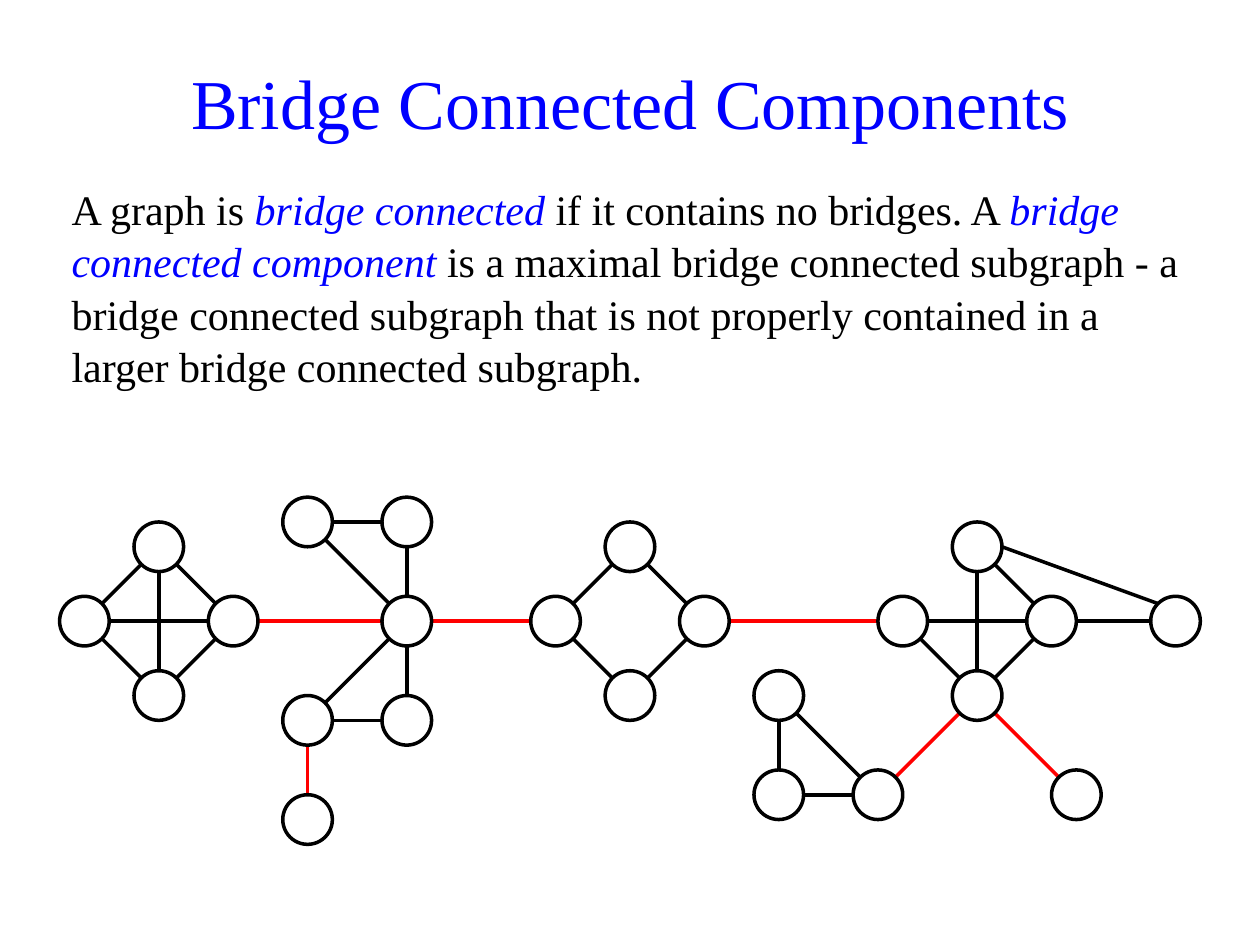
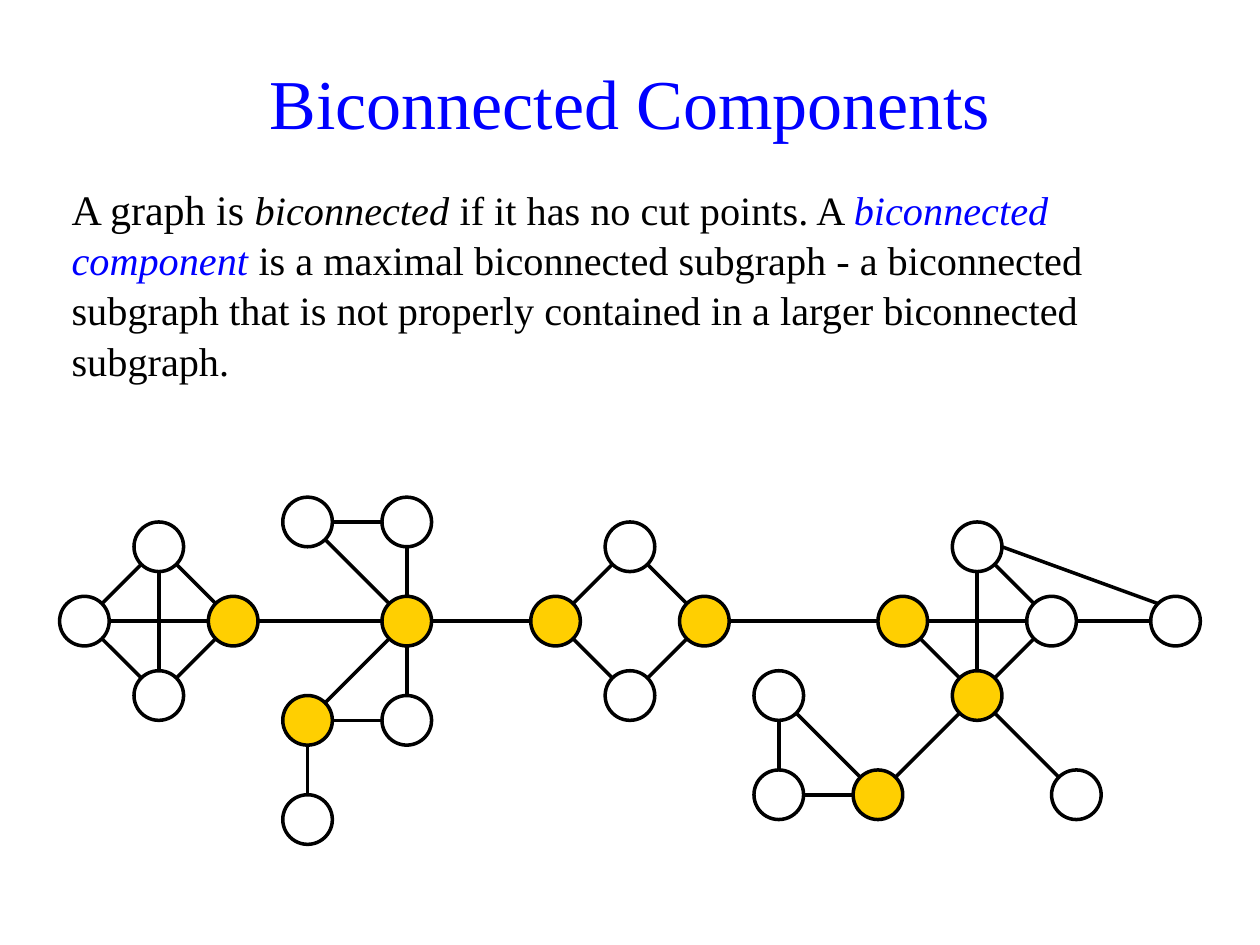
from math import atan2, cos, pi, sin

from pptx import Presentation
from pptx.dml.color import RGBColor
from pptx.enum.shapes import MSO_CONNECTOR as Connector, MSO_SHAPE as Shape
from pptx.enum.text import MSO_ANCHOR as Anchor, PP_ALIGN as Align
from pptx.oxml.ns import qn
from pptx.util import Inches, Pt

BLACK = RGBColor(0x00, 0x00, 0x00)
WHITE = RGBColor(0xFF, 0xFF, 0xFF)
BLUE = RGBColor(0x00, 0x00, 0xFF)
RED = RGBColor(0xFF, 0x00, 0x00)
GOLD = RGBColor(0xFF, 0xCF, 0x01)
FONT = "Times New Roman"

TOPICS = [
    {
        "title": "Bridge Connected Components",
        "definition": [
            ("A graph is ", 24, BLACK, False),
            ("bridge connected", 24, BLUE, True),
            (" if it contains no bridges. A ", 24, BLACK, False),
            ("bridge connected component", 24, BLUE, True),
            (" is a maximal bridge connected subgraph - a bridge connected subgraph "
             "that is not properly contained in a larger bridge connected subgraph.",
             24, BLACK, False),
        ],
        "bridge_color": RED,
        "cut_point_color": WHITE,
    },
    {
        "title": "Biconnected Components",
        "definition": [
            ("A graph is ", 24, BLACK, False),
            ("biconnected", 23, BLACK, True),
            (" if it has no cut points. A ", 23, BLACK, False),
            ("biconnected component", 23, BLUE, True),
            (" is a maximal biconnected subgraph - a biconnected subgraph "
             "that is not properly contained in a larger biconnected subgraph.",
             23, BLACK, False),
        ],
        "bridge_color": BLACK,
        "cut_point_color": GOLD,
    },
]

DIAMONDS = {"a": 3, "c": 22, "d": 36}
COMPASS = {"west": (-3, 0), "north": (0, -3), "east": (3, 0), "south": (0, 3)}
NODES = {
    f"{diamond} {point}": (column + dx, dy)
    for diamond, column in DIAMONDS.items()
    for point, (dx, dy) in COMPASS.items()
}
NODES |= {
    "hub": (13, 0),
    "hub upper left": (9, -4),
    "hub upper right": (13, -4),
    "hub lower left": (9, 4),
    "hub lower right": (13, 4),
    "hub leaf": (9, 8),
    "triangle top": (28, 3),
    "triangle corner": (28, 7),
    "triangle right": (32, 7),
    "d leaf": (40, 7),
    "far right": (44, 0),
}

RIM = [("west", "north"), ("north", "east"), ("west", "south"), ("south", "east")]
CROSS = [("west", "east"), ("north", "south")]
DIAMOND_EDGES = {"a": RIM + CROSS, "c": RIM, "d": RIM[1:] + CROSS}
EDGES = [
    (f"{diamond} {start}", f"{diamond} {end}")
    for diamond, pairs in DIAMOND_EDGES.items()
    for start, end in pairs
]
EDGES += [
    ("hub upper left", "hub upper right"),
    ("hub upper right", "hub"),
    ("hub upper left", "hub"),
    ("hub lower left", "hub lower right"),
    ("hub lower right", "hub"),
    ("hub lower left", "hub"),
    ("triangle top", "triangle corner"),
    ("triangle corner", "triangle right"),
    ("triangle top", "triangle right"),
    ("d east", "far right"),
    ("d north", "far right"),
]
BRIDGES = [
    ("a east", "hub"),
    ("hub", "c west"),
    ("c east", "d west"),
    ("hub lower left", "hub leaf"),
    ("triangle right", "d south"),
    ("d south", "d leaf"),
]
CUT_POINTS = {node for bridge in BRIDGES for node in bridge} - {"hub leaf", "d leaf"}
RIM_ANGLES = {("d north", "far right"): (0, -3 * pi / 4)}

FIRST_X, MIDDLE_Y = Inches(0.67), Inches(4.93)
STEP = Inches(8.66) / 44
RADIUS = STEP


def center(node):
    column, row = NODES[node]
    return FIRST_X + column * STEP, MIDDLE_Y + row * STEP


def rim_point(node, angle):
    x, y = center(node)
    return int(x + RADIUS * cos(angle)), int(y + RADIUS * sin(angle))


def add_edge(slide, start, end, color):
    (x1, y1), (x2, y2) = center(start), center(end)
    heading = atan2(y2 - y1, x2 - x1)
    leave, arrive = RIM_ANGLES.get((start, end), (heading, heading + pi))
    edge = slide.shapes.add_connector(
        Connector.STRAIGHT, *rim_point(start, leave), *rim_point(end, arrive))
    edge.line.color.rgb = color
    edge.line.width = Pt(2)
    properties = edge._element.spPr
    properties.append(properties.makeelement(qn("a:effectLst"), {}))


def add_node(slide, node, color):
    x, y = center(node)
    circle = slide.shapes.add_shape(
        Shape.OVAL, int(x - RADIUS), int(y - RADIUS), int(2 * RADIUS), int(2 * RADIUS))
    circle.shadow.inherit = False
    circle.fill.solid()
    circle.fill.fore_color.rgb = color
    circle.line.color.rgb = BLACK
    circle.line.width = Pt(2)


def add_text(slide, top, height, pieces, align, anchor):
    box = slide.shapes.add_textbox(Inches(0.47), Inches(top), Inches(9.06), Inches(height))
    frame = box.text_frame
    frame.word_wrap = True
    frame.vertical_anchor = anchor
    paragraph = frame.paragraphs[0]
    paragraph.alignment = align
    for words, size, color, italic in pieces:
        run = paragraph.add_run()
        run.text = words
        run.font.name = FONT
        run.font.size = Pt(size)
        run.font.color.rgb = color
        run.font.italic = italic
    return paragraph


def add_topic(deck, topic):
    slide = deck.slides.add_slide(deck.slide_layouts[6])
    add_text(slide, 0.21, 0.98, [(topic["title"], 40, BLUE, False)],
             Align.CENTER, Anchor.BOTTOM)
    definition = add_text(slide, 1.39, 1.77, topic["definition"], Align.LEFT, Anchor.TOP)
    definition.space_before = Pt(4.8)
    definition.line_spacing = 1.04
    for edge in EDGES:
        add_edge(slide, *edge, BLACK)
    for bridge in BRIDGES:
        add_edge(slide, *bridge, topic["bridge_color"])
    for node in NODES:
        add_node(slide, node, topic["cut_point_color"] if node in CUT_POINTS else WHITE)


def main():
    deck = Presentation()
    deck.slide_width, deck.slide_height = Inches(10), Inches(7.5)
    for topic in TOPICS:
        add_topic(deck, topic)
    deck.save("out.pptx")


if __name__ == "__main__":
    main()
